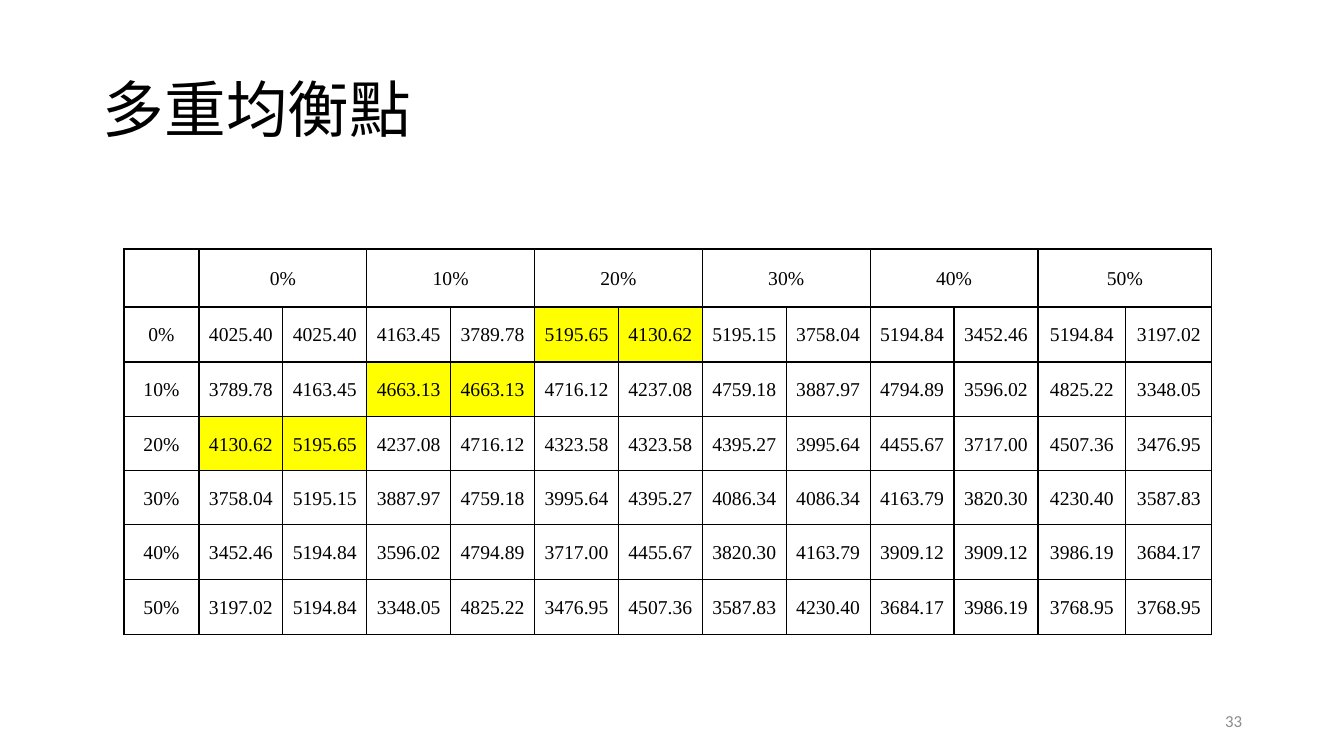
from lxml import etree
from pptx import Presentation
from pptx.dml.color import RGBColor
from pptx.enum.text import MSO_ANCHOR, PP_ALIGN
from pptx.oxml.ns import qn
from pptx.util import Pt

MIDDLE = MSO_ANCHOR.MIDDLE
LEFT, CENTER, RIGHT = PP_ALIGN.LEFT, PP_ALIGN.CENTER, PP_ALIGN.RIGHT
COLORS = {"ink": "000000", "mark": "FFFF00", "page": "8C8C8C"}
SCALE = 914400 / 100.8

RATES = ["0%", "10%", "20%", "30%", "40%", "50%"]
# Payoff of the row player; the game is symmetric, so the column
# player's payoff is the mirrored entry.
PAYOFFS = [
    [4025.40, 4163.45, 5195.65, 5195.15, 5194.84, 5194.84],
    [3789.78, 4663.13, 4716.12, 4759.18, 4794.89, 4825.22],
    [4130.62, 4237.08, 4323.58, 4395.27, 4455.67, 4507.36],
    [3758.04, 3887.97, 3995.64, 4086.34, 4163.79, 4230.40],
    [3452.46, 3596.02, 3717.00, 3820.30, 3909.12, 3986.19],
    [3197.02, 3348.05, 3476.95, 3587.83, 3684.17, 3768.95],
]
EQUILIBRIA = {(0, 2), (1, 1), (2, 0)}
STUB = 75
LAST_PAIR = [88, 86]
ROW_HEIGHTS = [58, 55, 55, 54, 54, 55, 55]


def px(n):
    return round(n * SCALE)


def color(name):
    return RGBColor.from_string(COLORS[name])


def style(para, size, face, ink, align, spacing=1.0):
    para.alignment = align
    para.line_spacing = spacing
    font = para.font
    font.size, font.name = Pt(size), face
    font.color.rgb = color(ink)
    east = etree.SubElement(font._element, qn("a:ea"))
    east.set("typeface", face)


def add_text(slide, box, text, *look):
    frame = slide.shapes.add_textbox(*map(px, box)).text_frame
    frame.word_wrap = True
    frame.vertical_anchor = MIDDLE
    para = frame.paragraphs[0]
    para.text = text
    style(para, *look)


def add_borders(cell):
    props = cell._tc.get_or_add_tcPr()
    for side in ("lnL", "lnR", "lnT", "lnB"):
        line = etree.SubElement(props, qn(f"a:{side}"), w=str(Pt(1)))
        fill = etree.SubElement(line, qn("a:solidFill"))
        etree.SubElement(fill, qn("a:srgbClr"), val=COLORS["ink"])


def fill_cell(cell, text):
    cell.vertical_anchor = MIDDLE
    cell.margin_left = cell.margin_right = px(7)
    cell.margin_top = cell.margin_bottom = 0
    para = cell.text_frame.paragraphs[0]
    para.text = text
    style(para, 14, "Times New Roman", "ink", CENTER, 1.07)


def add_matrix(slide, box):
    """Draw the payoff table, two columns for each rate."""
    count = len(RATES)
    table = slide.shapes.add_table(count + 1, 2 * count + 1, *map(px, box)).table
    table.first_row = table.horz_banding = False

    shared = 2 * count - len(LAST_PAIR)
    even = (box[2] - STUB - sum(LAST_PAIR)) / shared
    for col, width in zip(table.columns, [STUB] + [even] * shared + LAST_PAIR):
        col.width = px(width)
    for row, height in zip(table.rows, ROW_HEIGHTS):
        row.height = px(height)
    for cell in table.iter_cells():
        add_borders(cell)
        cell.fill.background()

    for i, rate in enumerate(RATES):
        head = table.cell(0, 2 * i + 1)
        head.merge(table.cell(0, 2 * i + 2))
        fill_cell(head, rate)
        fill_cell(table.cell(i + 1, 0), rate)
        for j in range(count):
            for k, value in enumerate((PAYOFFS[i][j], PAYOFFS[j][i])):
                cell = table.cell(i + 1, 2 * j + 1 + k)
                fill_cell(cell, f"{value:.2f}")
                if (i, j) in EQUILIBRIA:
                    cell.fill.solid()
                    cell.fill.fore_color.rgb = color("mark")


def main():
    deck = Presentation()
    deck.slide_width, deck.slide_height = px(1344), px(756)
    slide = deck.slides.add_slide(deck.slide_layouts[6])
    add_text(slide, (93, 40, 1159, 146), "多重均衡點",
             44, "Noto Sans CJK SC", "ink", LEFT, 0.9)
    add_matrix(slide, (124, 249, 1088, sum(ROW_HEIGHTS)))
    add_text(slide, (950, 701, 302, 40), "33", 12, "Calibri", "page", RIGHT)
    deck.save("out.pptx")


if __name__ == "__main__":
    main()
